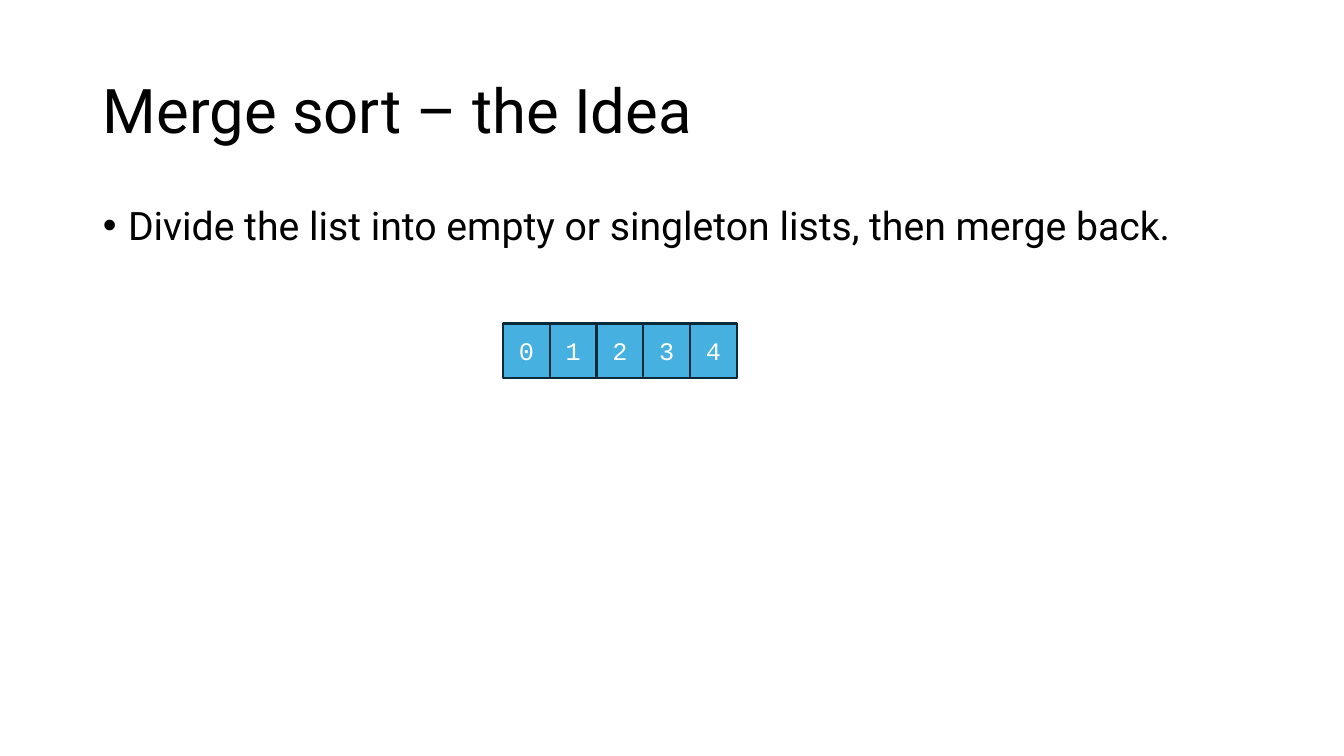
from dataclasses import dataclass

from pptx import Presentation
from pptx.dml.color import RGBColor
from pptx.enum.shapes import MSO_SHAPE
from pptx.enum.text import MSO_ANCHOR, MSO_AUTO_SIZE, PP_ALIGN
from pptx.util import Emu, Pt

PX = 9144  # 100 px to the inch


@dataclass(frozen=True)
class Theme:
    ink: RGBColor = RGBColor(0x00, 0x00, 0x00)
    cell_fill: RGBColor = RGBColor(0x46, 0xB1, 0xE1)
    cell_line: RGBColor = RGBColor(0x09, 0x2A, 0x39)
    cell_ink: RGBColor = RGBColor(0xFF, 0xFF, 0xFF)
    text_font: str = "Roboto"
    code_font: str = "Courier New"
    title_size: int = 44
    body_size: int = 28
    cell_size: int = 18
    line_width: float = 1.5


THEME = Theme()


def px(length):
    return Emu(round(length * PX))


def place(shape, box):
    shape.left, shape.top, shape.width, shape.height = map(px, box)


def write(shape, text, font, size, color, align, anchor):
    """Fill the shape with one formatted paragraph and return it."""
    frame = shape.text_frame
    frame.text = text
    frame.word_wrap = True
    frame.auto_size = MSO_AUTO_SIZE.NONE
    frame.vertical_anchor = anchor
    para = frame.paragraphs[0]
    para.alignment = align
    for span in para.runs:
        span.font.name = font
        span.font.size = Pt(size)
        span.font.color.rgb = color
    return para


def add_title(page, box, text):
    title = page.shapes.title
    place(title, box)
    para = write(title, text, THEME.text_font, THEME.title_size, THEME.ink,
                 PP_ALIGN.LEFT, MSO_ANCHOR.MIDDLE)
    para.line_spacing = 0.9


def add_bullet(page, box, text):
    body = page.placeholders[1]
    place(body, box)
    para = write(body, text, THEME.text_font, THEME.body_size, THEME.ink,
                 PP_ALIGN.LEFT, MSO_ANCHOR.TOP)
    para.line_spacing = 0.9
    para.space_before = Pt(10)
    properties = para._p.get_or_add_pPr()
    properties.set("marL", str(px(25)))
    properties.set("indent", str(px(-25)))


def add_list_cells(page, box, values):
    """Split the box into equal adjoining cells, one per value."""
    left, top, width, height = box
    cell_width = width / len(values)
    for index, value in enumerate(values):
        cell = page.shapes.add_shape(
            MSO_SHAPE.RECTANGLE, px(left + index * cell_width), px(top),
            px(cell_width), px(height))
        cell.shadow.inherit = False
        cell.fill.solid()
        cell.fill.fore_color.rgb = THEME.cell_fill
        cell.line.color.rgb = THEME.cell_line
        cell.line.width = Pt(THEME.line_width)
        write(cell, str(value), THEME.code_font, THEME.cell_size,
              THEME.cell_ink, PP_ALIGN.CENTER, MSO_ANCHOR.MIDDLE)


def main():
    deck = Presentation()
    deck.slide_width, deck.slide_height = Emu(12192000), px(750)
    page = deck.slides.add_slide(deck.slide_layouts[1])
    add_title(page, (92, 40, 1150, 145), "Merge sort – the Idea")
    add_bullet(page, (92, 200, 1150, 104),
               "Divide the list into empty or singleton lists, then merge back.")
    add_list_cells(page, (499, 321, 232, 54), range(5))
    deck.save("out.pptx")


if __name__ == "__main__":
    main()
